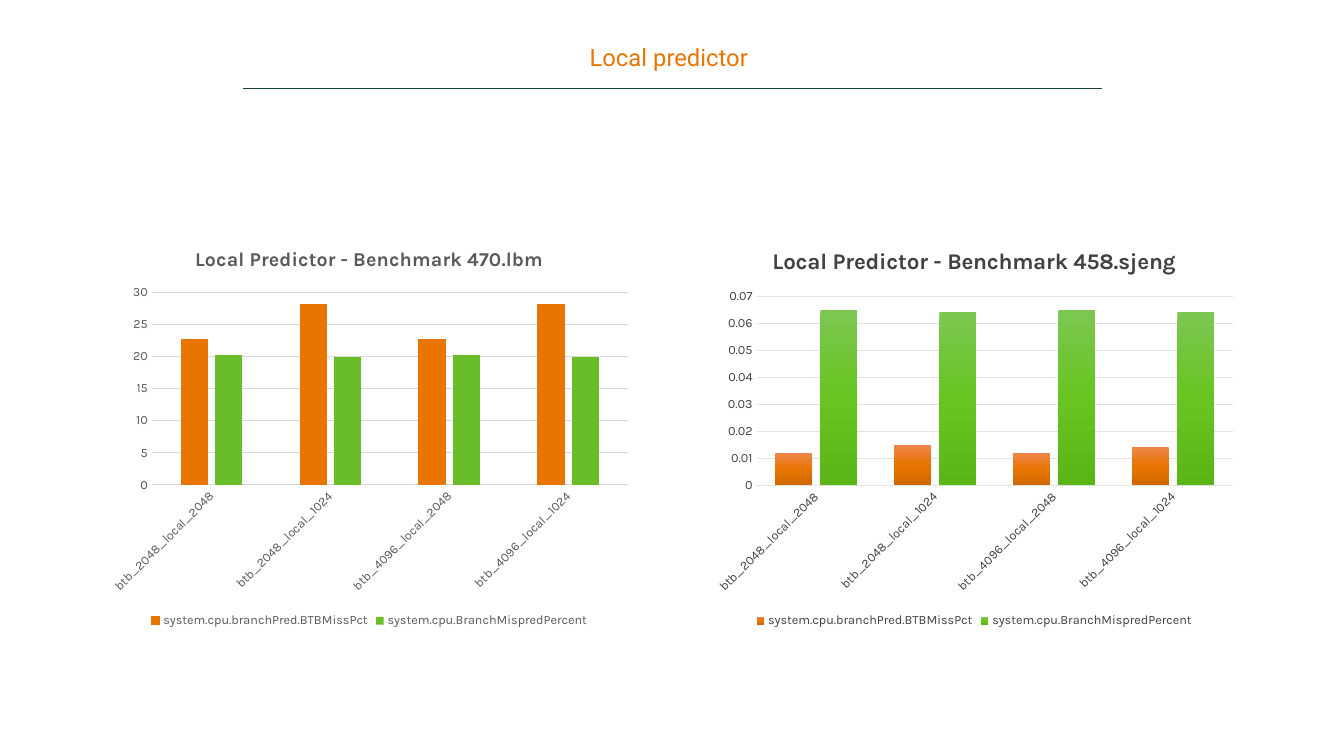
from pptx import Presentation
from pptx.chart.data import CategoryChartData as Data
from pptx.dml.color import RGBColor as Rgb
from pptx.enum.chart import XL_CHART_TYPE as Kind, XL_LEGEND_POSITION as Place, XL_TICK_MARK as Tick
from pptx.enum.shapes import MSO_CONNECTOR as Link
from pptx.enum.text import MSO_ANCHOR as Anchor, PP_ALIGN as Align
from pptx.oxml import parse_xml
from pptx.oxml.ns import nsdecls
from pptx.util import Cm, Pt

HUES = {
    "orange": "E87500", "green": "69BD28", "pine": "154734", "black": "000000",
    "gray": "595959", "pale": "D9D9D9", "dark": "414141", "mist": "E2E2E2",
}
FADES = [["EE854B", "E87500", "CE6800"], ["7BC751", "68C421", "5CB516"]]
CATS = [f"btb_{size}_local_{rows}" for size in (2048, 4096) for rows in (2048, 1024)]
NAMES = ["system.cpu.branchPred.BTBMissPct", "system.cpu.BranchMispredPercent"]


class Deck:
    def __init__(self):
        self.prs = Presentation()
        self.prs.slide_width, self.prs.slide_height = Cm(33.87), Cm(19.05)
        self.slide = self.prs.slides.add_slide(self.prs.slide_layouts[5])

    def font(self, font, size, hue, bold=False, face="Karla"):
        font.name, font.size, font.bold = face, Pt(size), bold
        font.color.rgb = Rgb.from_string(HUES[hue])

    def stroke(self, line, hue):
        line.color.rgb = Rgb.from_string(HUES[hue])
        line.width = Pt(0.75)

    def title(self, text, x, y, w, h):
        box = self.slide.shapes.title
        box.left, box.top, box.width, box.height = Cm(x), Cm(y), Cm(w), Cm(h)
        frame = box.text_frame
        frame.margin_left = frame.margin_right = frame.margin_top = frame.margin_bottom = 0
        frame.vertical_anchor = Anchor.TOP
        frame.word_wrap = True
        para = frame.paragraphs[0]
        para.alignment, para.line_spacing = Align.CENTER, 0.85
        run = para.add_run()
        run.text = text
        self.font(run.font, 17, "orange", face="Roboto")

    def rule(self, x, y, end):
        line = self.slide.shapes.add_connector(Link.STRAIGHT, Cm(x), Cm(y), Cm(end), Cm(y))
        self.stroke(line.line, "pine")
        line._element.spPr.append(parse_xml(f"<a:effectLst {nsdecls('a')}/>"))

    def fade(self, bars, hues):
        stops = "".join(
            f'<a:gs pos="{i * 50000}"><a:srgbClr val="{hue}"/></a:gs>' for i, hue in enumerate(hues))
        bars._element.get_or_add_spPr().append(parse_xml(
            f"<a:gradFill {nsdecls('a')}><a:gsLst>{stops}</a:gsLst>"
            '<a:lin ang="5400000" scaled="0"/></a:gradFill>'))

    def frame(self, chart, top, high):
        area = chart._chartSpace.chart.plotArea
        for old in area.findall("{*}layout"):
            area.remove(old)
        spots = {"x": 0.095, "y": top, "w": 0.886, "h": high}
        sizes = "".join(f'<c:{key} val="{val}"/>' for key, val in spots.items())
        area.insert(0, parse_xml(
            f"<c:layout {nsdecls('c')}><c:manualLayout><c:layoutTarget val=\"inner\"/>"
            f'<c:xMode val="edge"/><c:yMode val="edge"/>{sizes}</c:manualLayout></c:layout>'))

    def chart(self, x, head, size, rows, ink, grid, gap, lap, peak, step, top, high, faded):
        data = Data(number_format="General")
        data.categories = CATS
        for name, vals in zip(NAMES, rows):
            data.add_series(name, vals)
        chart = self.slide.shapes.add_chart(
            Kind.COLUMN_CLUSTERED, Cm(x), Cm(5.77), Cm(13.54), Cm(10.16), data).chart
        self.font(chart.font, 10, "black")
        chart.has_title = True
        run = chart.chart_title.text_frame.paragraphs[0].add_run()
        run.text = head
        self.font(run.font, size, ink, True)
        chart.chart_title.include_in_layout = False

        chart.has_legend = True
        chart.legend.position = Place.BOTTOM
        chart.legend.include_in_layout = False
        self.font(chart.legend.font, 9, ink)

        cat, val = chart.category_axis, chart.value_axis
        for axis in (cat, val):
            axis.major_tick_mark = axis.minor_tick_mark = Tick.NONE
            self.font(axis.tick_labels.font, 9, ink)
        self.stroke(cat.format.line, grid)
        cat._element.txPr.find("{*}bodyPr").set("rot", "-2700000")
        val.format.line.fill.background()
        self.stroke(val.major_gridlines.format.line, grid)
        val.minimum_scale, val.maximum_scale, val.major_unit = 0, peak, step

        plot = chart.plots[0]
        plot.gap_width, plot.overlap, plot.vary_by_categories = gap, lap, False
        for i, bars in enumerate(plot.series):
            bars.invert_if_negative = False
            if faded:
                self.fade(bars, FADES[i])
            else:
                bars.format.fill.solid()
                bars.format.fill.fore_color.rgb = Rgb.from_string(HUES[("orange", "green")[i]])
            if faded or i:
                bars.format.line.fill.background()
            else:
                self.stroke(bars.format.line, "orange")
        self.frame(chart, top, high)


def main():
    deck = Deck()
    deck.rule(6.12, 2.22, 27.76)
    deck.title("Local predictor ", 2.54, 1.19, 28.78, 0.91)
    deck.chart(2.54, "Local Predictor - Benchmark 470.lbm", 14,
               [[22.7, 28.1] * 2, [20.2, 19.9] * 2],
               "gray", "pale", 219, -27, 30, 5, 0.157, 0.478, False)
    deck.chart(17.78, "Local Predictor - Benchmark 458.sjeng", 16,
               [[0.012, 0.015, 0.012, 0.014], [0.065, 0.064] * 2],
               "dark", "mist", 100, -24, 0.07, 0.01, 0.167, 0.469, True)
    deck.prs.save("out.pptx")


if __name__ == "__main__":
    main()
